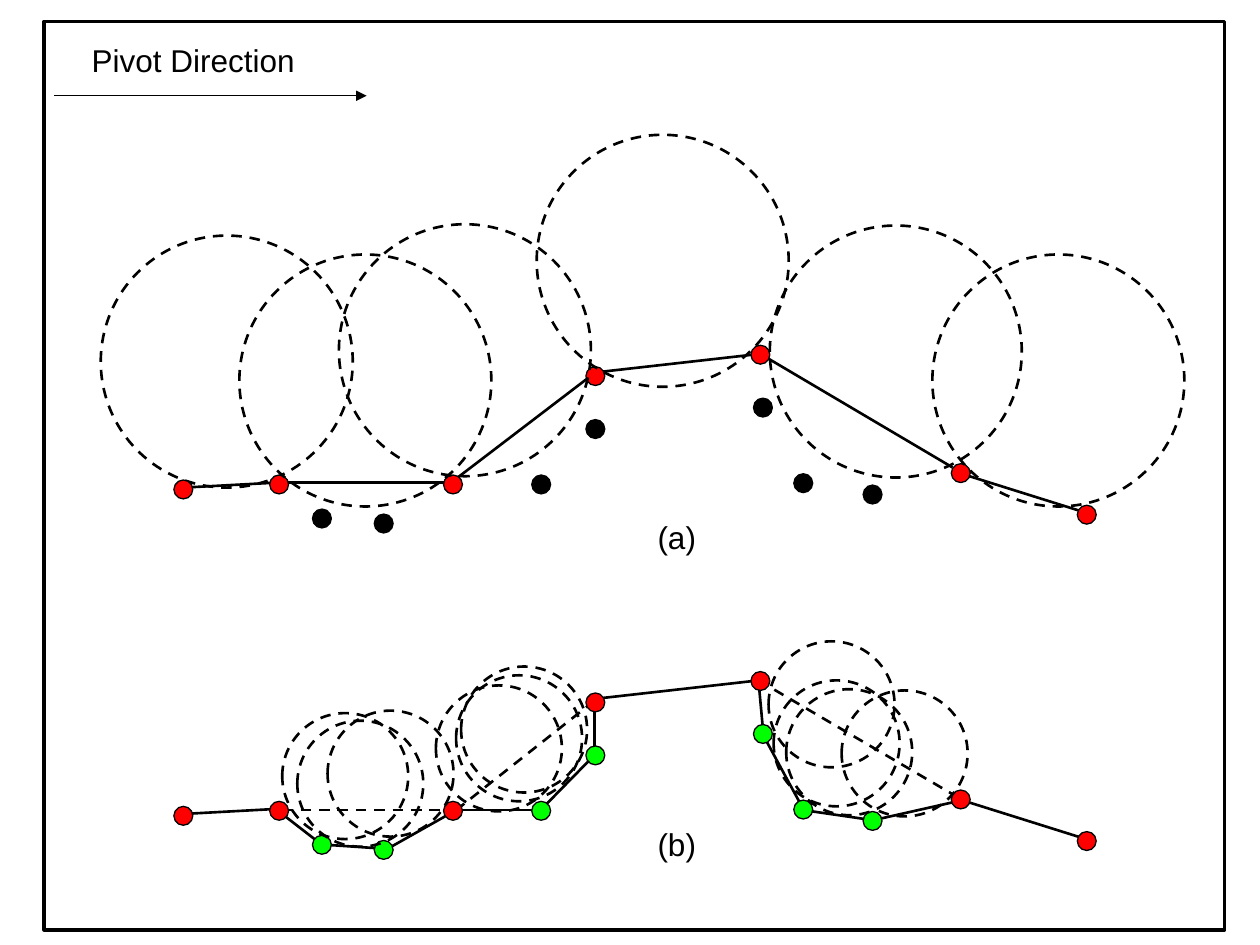
from lxml import etree
from pptx import Presentation
from pptx.dml.color import RGBColor
from pptx.enum import dml, shapes, text
from pptx.oxml.ns import qn
from pptx.util import Emu, Pt

PX = 9144  # 100 px to the inch
BLACK = RGBColor(0, 0, 0)
RED = RGBColor(255, 0, 0)
GREEN = RGBColor(0, 255, 0)

DROP = 259  # from part (a) down to part (b)
DOT, BIG, SMALL = 15, 200, 100

FRAME = (35, 17, 937, 721)
ARROW = (43, 76, 291, 76)
LABELS = [
    ("Pivot Direction", 63, 28, 224),
    ("(a)", 512, 406, 122),
    ("(b)", 512, 650, 122),
]

# Left and top of the dots: on the first path, and below it
ON_PATH = [(138, 381), (214, 377), (352, 377), (465, 291),
           (596, 274), (755, 368), (855, 401)]
BELOW = [(248, 404), (297, 408), (422, 377), (465, 333),
         (598, 316), (630, 376), (685, 385)]

# Lines: x1, y1, x2, y2
KEPT = [(469, 296, 602, 281), (760, 375, 862, 407), (146, 387, 220, 383)]
COARSE = [(602, 280, 756, 371), (220, 383, 358, 383), (472, 296, 358, 383)]
DROPPED = [(224, 643, 358, 643), (362, 643, 472, 556), (602, 540, 764, 635)]
FINE = [
    (638, 643, 693, 651), (606, 584, 638, 643), (764, 635, 693, 651),
    (606, 584, 602, 540), (358, 643, 433, 643), (429, 643, 476, 595),
    (472, 556, 472, 603), (307, 674, 362, 643), (252, 670, 311, 674),
    (220, 643, 260, 674),
]

# Left and top of the pivoting balls
FIRST_BALL = (80, 187)
BIG_BALLS = [(190, 202), (269, 178), (611, 179), (426, 107), (740, 202)]
SMALL_BALLS = [(224, 566), (236, 572), (260, 564), (346, 544), (362, 536),
               (366, 529), (610, 509), (614, 540), (624, 547), (668, 548)]

deck = Presentation()
deck.slide_width, deck.slide_height = Emu(1000 * PX), Emu(750 * PX)
slide = deck.slides.add_slide(deck.slide_layouts[6])


def emu(*nums):
    return [Emu(n * PX) for n in nums]


def stroke(item, width, dash=False):
    item.line.color.rgb = BLACK
    item.line.width = Pt(width)
    if dash:
        item.line.dash_style = dml.MSO_LINE.DASH


def shape(kind, box, width, fill=None, dash=False):
    item = slide.shapes.add_shape(kind, *emu(*box))
    item.shadow.inherit = False
    if fill is None:
        item.fill.background()
    else:
        item.fill.solid()
        item.fill.fore_color.rgb = fill
    stroke(item, width, dash)


def dot(x, y, fill):
    shape(shapes.MSO_SHAPE.OVAL, (x, y, DOT, DOT), 0.75, fill)


def ball(x, y, size):
    shape(shapes.MSO_SHAPE.OVAL, (x, y, size, size), 1.5, dash=True)


def link(ends, width=1.5, dash=False, head=False):
    item = slide.shapes.add_connector(
        shapes.MSO_CONNECTOR.STRAIGHT, *emu(*ends))
    stroke(item, width, dash)
    if head:
        etree.SubElement(item.line._get_or_add_ln(), qn("a:tailEnd"),
                         type="triangle")
    etree.SubElement(item._element.spPr, qn("a:effectLst"))


def label(words, x, y, w, h=40, size=18, font="Arial", color=BLACK):
    frame = slide.shapes.add_textbox(*emu(x, y, w, h)).text_frame
    frame.word_wrap = True
    frame.auto_size = text.MSO_AUTO_SIZE.SHAPE_TO_FIT_TEXT
    run = frame.paragraphs[0].add_run()
    run.text = words
    run.font.size, run.font.name = Pt(size), font
    run.font.color.rgb = color


def dots(drop, low):
    """Draw both rows of dots, the lower row in the colour low."""
    for spots, fill in ((ON_PATH, RED), (BELOW, low)):
        for x, y in spots:
            dot(x, y + drop, fill)


shape(shapes.MSO_SHAPE.RECTANGLE, FRAME, 2)
link(ARROW, 0.75, head=True)

# Part (a): large balls touch only the path
ball(*FIRST_BALL, BIG)
for ends in KEPT + COARSE:
    link(ends)
dots(0, BLACK)
for spot in BIG_BALLS:
    ball(*spot, BIG)

# Part (b): small balls reach the dots below
for ends in DROPPED:
    link(ends, dash=True)
for ends in FINE:
    link(ends)
for x1, y1, x2, y2 in KEPT:
    link((x1, y1 + DROP, x2, y2 + DROP))
dots(DROP, GREEN)
for spot in SMALL_BALLS:
    ball(*spot, SMALL)

for item in LABELS:
    label(*item)

deck.save("out.pptx")
